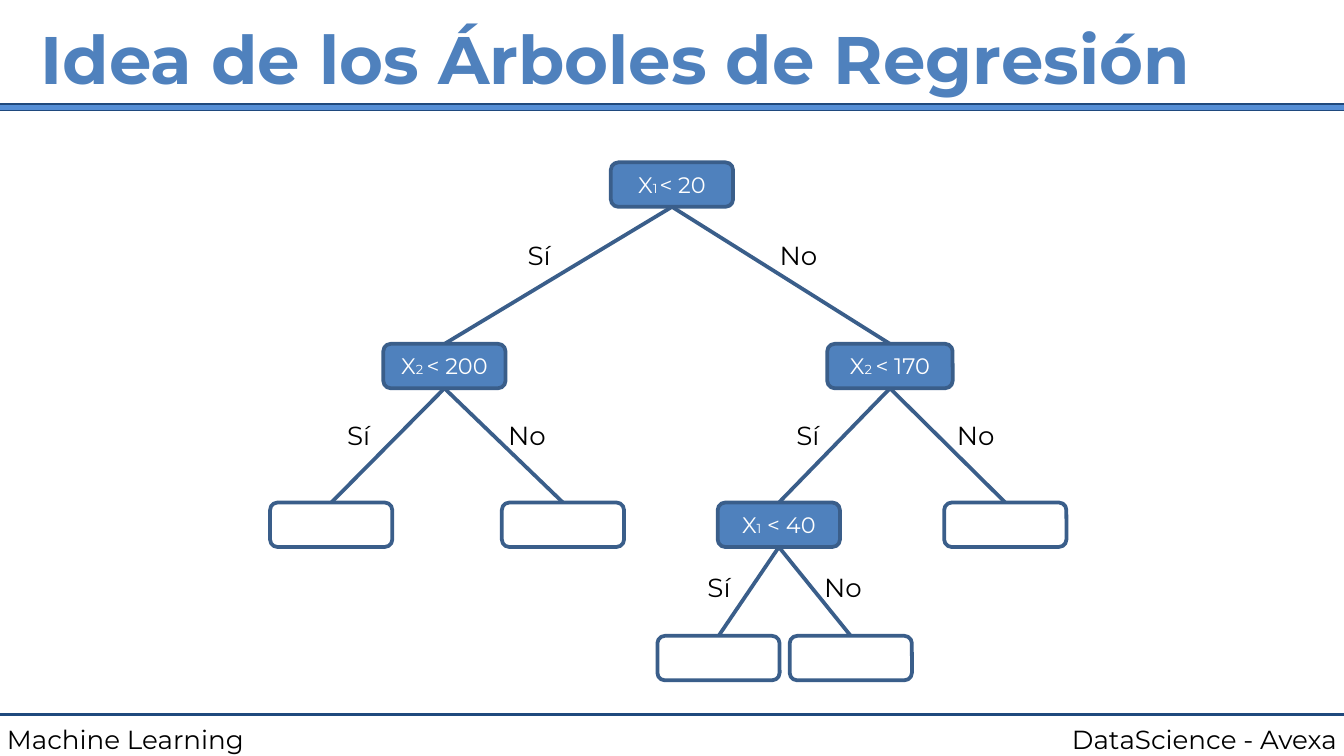
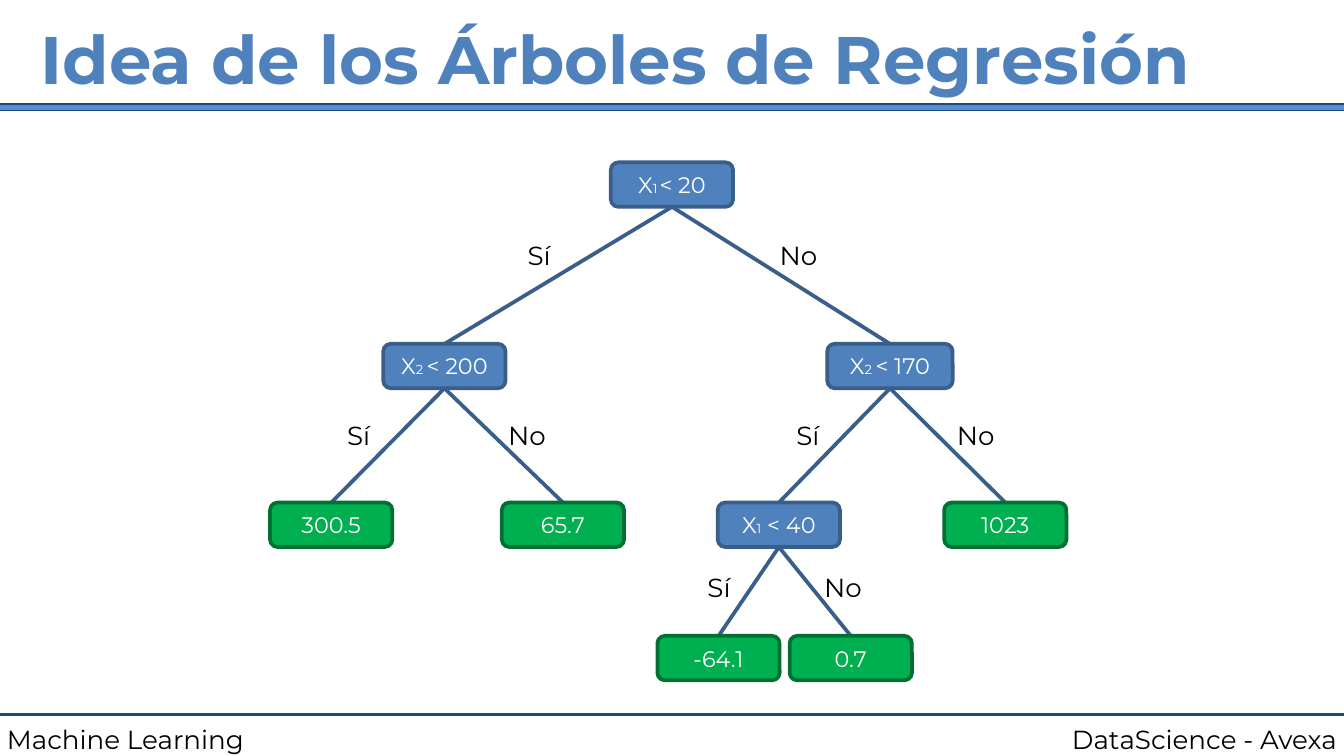
from dataclasses import dataclass

from lxml.etree import SubElement
from pptx import Presentation
from pptx.dml.color import RGBColor
from pptx.enum.shapes import MSO_CONNECTOR as Connector, MSO_SHAPE as Shape
from pptx.enum.text import MSO_ANCHOR as Anchor, MSO_AUTO_SIZE as AutoSize, PP_ALIGN as Align
from pptx.oxml.ns import qn
from pptx.util import Cm, Pt

# All lengths are centimetres.
PAGE_WIDTH, PAGE_HEIGHT = 25.4, 14.29
FONT = "Montserrat"
COLORS = {
    "title": "4F81BD",
    "band": "558ED5",
    "rule": "1F497D",
    "node": "4F81BD",
    "edge": "3A5E8A",
    "leaf": "00B050",
    "leaf_edge": "007033",
    "light": "FFFFFF",
    "dark": "000000",
}
TITLE = "Idea de los Árboles de Regresión"
INSET = 0.13
NODE_WIDTH, NODE_HEIGHT = 2.31, 0.84
LABEL_WIDTH, LABEL_HEIGHT = 1.73, 0.86
LEVEL_TOPS = (3.07, 6.5, 9.5, 12.02)
LABEL_TOPS = (4.39, 7.8, 10.67)


@dataclass
class Node:
    """A question with a yes and a no branch, or a leaf without branches."""
    center: float
    spans: tuple
    label_centers: tuple = ()
    branches: tuple = ()
    width: float = NODE_WIDTH


def leaf(center, value):
    return Node(center, ((value, 12),))


TREE = Node(
    12.7, (("X", 12), ("1", 7), (" ", 4), ("< 20", 12)), (10.19, 15.09),
    (
        Node(8.4, (("X", 12), ("2 ", 7), ("< 200", 12)), (6.78, 9.96),
             (leaf(6.26, "300.5"), leaf(10.64, "65.7"))),
        Node(16.82, (("X", 12), ("2 ", 7), ("< 170", 12)), (15.27, 18.44),
             (Node(14.72, (("X", 12), ("1", 7), (" < 40", 12)), (13.59, 15.93),
                   (leaf(13.58, "-64.1"), leaf(16.08, "0.7"))),
              leaf(19.0, "1023")),
             width=2.37),
    ),
)


def rgb(name):
    return RGBColor.from_string(COLORS[name])


def write(frame, spans, color, align=Align.LEFT, anchor=Anchor.TOP, bold=False):
    """Fill a text frame with one paragraph of (text, size) spans."""
    frame.auto_size = AutoSize.NONE
    frame.word_wrap = True
    frame.vertical_anchor = anchor
    frame.margin_left = frame.margin_right = Cm(INSET)
    frame.margin_top = frame.margin_bottom = Cm(INSET)
    para = frame.paragraphs[0]
    para.alignment = align
    for text, size in spans:
        span = para.add_run()
        span.text = text
        span.font.name = FONT
        span.font.size = Pt(size)
        span.font.bold = bold
        span.font.color.rgb = rgb(color)


def add_text(page, left, top, width, height, text, align):
    box = page.shapes.add_textbox(Cm(left), Cm(top), Cm(width), Cm(height))
    write(box.text_frame, ((text, 14),), "dark", align)


def add_block(page, kind, left, top, width, height, fill, edge, weight):
    """Add a preset shape; a fill of None leaves it hollow."""
    block = page.shapes.add_shape(kind, Cm(left), Cm(top), Cm(width), Cm(height))
    block.shadow.inherit = False
    if fill:
        block.fill.solid()
        block.fill.fore_color.rgb = rgb(fill)
    else:
        block.fill.background()
    block.line.color.rgb = rgb(edge)
    block.line.width = Pt(weight)
    return block


def add_line(page, start, end, color, weight):
    line = page.shapes.add_connector(
        Connector.STRAIGHT, *(Cm(value) for value in (*start, *end)))
    line.line.color.rgb = rgb(color)
    line.line.width = Pt(weight)
    SubElement(line.element.spPr, qn("a:effectLst"))


def add_frame(page):
    """Add the title, the band below it and the footer."""
    title = page.shapes.title
    title.left, title.top = Cm(0.64), Cm(0.2)
    title.width, title.height = Cm(24.13), Cm(2.06)
    write(title.text_frame, ((TITLE, 36),), "title", bold=True)
    add_block(page, Shape.RECTANGLE, -0.1, 1.97, PAGE_WIDTH + 0.2, 0.12,
              "band", "rule", 0.75)
    add_line(page, (0, 13.51), (PAGE_WIDTH, 13.51), "rule", 1.5)
    add_text(page, 0, 13.54, 8.26, LABEL_HEIGHT, "Machine Learning", Align.LEFT)
    add_text(page, PAGE_WIDTH - 7.42, 13.54, 7.42, LABEL_HEIGHT,
             "DataScience - Avexa", Align.RIGHT)


def add_node(page, node, level, show_values):
    fill, edge = "node", "edge"
    if not node.branches:
        fill, edge = ("leaf", "leaf_edge") if show_values else (None, "edge")
    block = add_block(page, Shape.ROUNDED_RECTANGLE, node.center - node.width / 2,
                      LEVEL_TOPS[level], node.width, NODE_HEIGHT, fill, edge, 2)
    if fill:
        write(block.text_frame, node.spans, "light", Align.CENTER, Anchor.MIDDLE)


def add_tree(page, node, show_values, level=0):
    bottom = (node.center, LEVEL_TOPS[level] + NODE_HEIGHT)
    for branch, answer, center in zip(node.branches, ("Sí", "No"), node.label_centers):
        add_line(page, bottom, (branch.center, LEVEL_TOPS[level + 1]), "edge", 2)
        add_text(page, center - LABEL_WIDTH / 2, LABEL_TOPS[level],
                 LABEL_WIDTH, LABEL_HEIGHT, answer, Align.CENTER)
        add_tree(page, branch, show_values, level + 1)
    add_node(page, node, level, show_values)


def main():
    deck = Presentation()
    deck.slide_width, deck.slide_height = Cm(PAGE_WIDTH), Cm(PAGE_HEIGHT)
    title_only = deck.slide_layouts[5]
    for show_values in (False, True):
        page = deck.slides.add_slide(title_only)
        add_frame(page)
        add_tree(page, TREE, show_values)
    deck.save("out.pptx")


if __name__ == "__main__":
    main()
